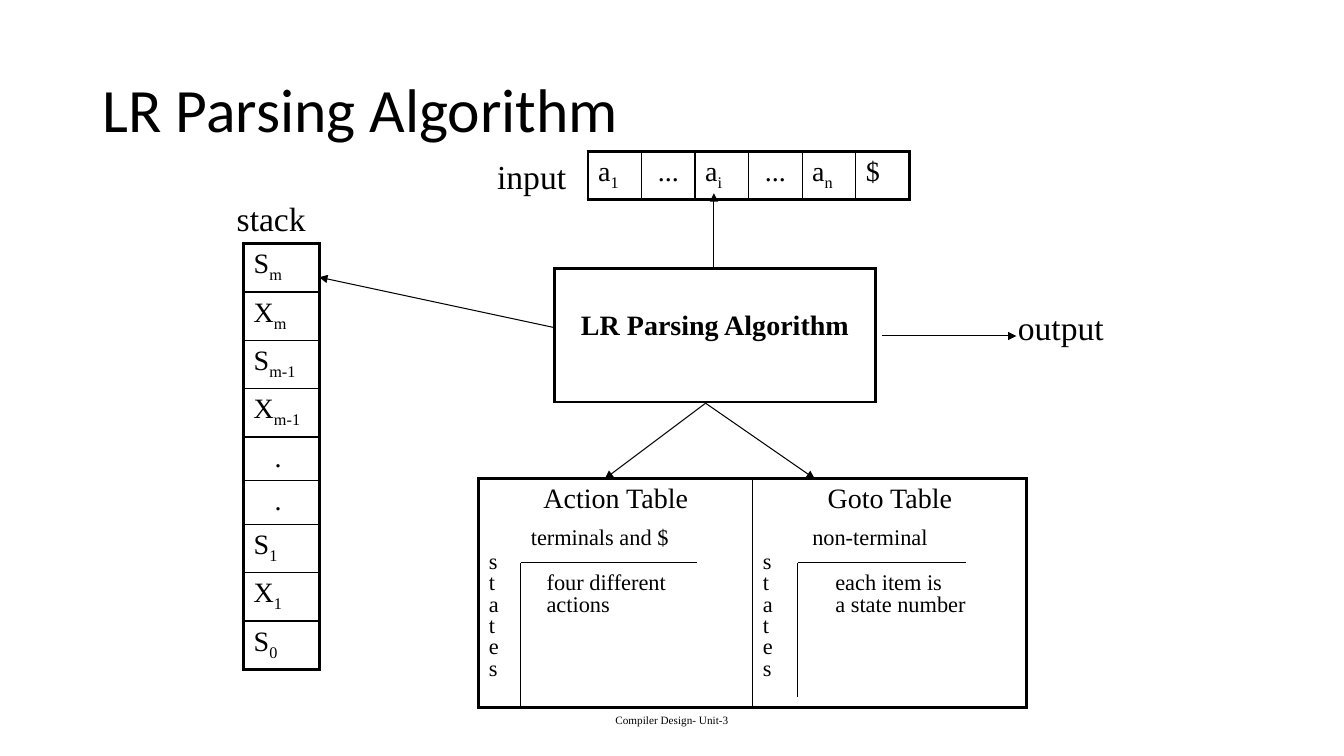
import pptx
import pptx.dml.color
import pptx.enum.shapes
import pptx.enum.text
import pptx.util
from lxml import etree
from pptx.oxml.ns import qn

EMU_PER_PX = 9525
BLACK = "000000"
SERIF = "Times New Roman"
THICK, THIN, LINE = 2.25, 1, 0.75
ALIGN = pptx.enum.text.PP_ALIGN
ANCHOR = pptx.enum.text.MSO_ANCHOR


def px(length):
    return pptx.util.Emu(length * EMU_PER_PX)


def color(value):
    return pptx.dml.color.RGBColor.from_string(value)


def apply(target, values):
    for name, value in values.items():
        setattr(target, name, value)


def add_run(paragraph, text, size, font=SERIF, bold=False, subscript=False):
    run = paragraph.add_run()
    run.text = text
    apply(run.font, {"size": pptx.util.Pt(size), "name": font, "bold": bold})
    run.font.color.rgb = color(BLACK)
    if subscript:
        run.font._element.set("baseline", "-25000")


def indent(paragraph, distance):
    paragraph._p.get_or_add_pPr().set("marL", str(px(distance)))


def add_tab_stop(paragraph, distance):
    tabs = etree.SubElement(paragraph._p.get_or_add_pPr(), qn("a:tabLst"))
    etree.SubElement(tabs, qn("a:tab"), pos=str(px(distance)), algn="l")


def add_line(slide, start, end, arrow=False):
    line = slide.shapes.add_connector(
        pptx.enum.shapes.MSO_CONNECTOR.STRAIGHT, *map(px, start + end))
    line.line.width = pptx.util.Pt(LINE)
    line.line.color.rgb = color(BLACK)
    if arrow:
        etree.SubElement(line.line._get_or_add_ln(), qn("a:tailEnd"), type="triangle")
    etree.SubElement(line._element.spPr, qn("a:effectLst"))


def add_border(cell, side, width):
    border = etree.SubElement(cell._tc.get_or_add_tcPr(), qn("a:ln" + side),
                              w=str(pptx.util.Pt(width)))
    fill = etree.SubElement(border, qn("a:solidFill"))
    etree.SubElement(fill, qn("a:srgbClr"), val=BLACK)


def add_grid(slide, left, top, widths, heights):
    """Add an unfilled table with a thick frame and thin inner lines; return its cells."""
    table = slide.shapes.add_table(len(heights), len(widths), px(left), px(top),
                                   px(sum(widths)), px(sum(heights))).table
    apply(table, {"first_row": False, "horz_banding": False})
    for column, width in zip(table.columns, widths):
        column.width = px(width)
    for row, height in zip(table.rows, heights):
        row.height = px(height)
    last_row, last_column = len(heights) - 1, len(widths) - 1
    cells = []
    for r in range(len(heights)):
        for c in range(len(widths)):
            cell = table.cell(r, c)
            edges = {"L": c == 0, "R": c == last_column, "T": r == 0, "B": r == last_row}
            for side, outer in edges.items():
                add_border(cell, side, THICK if outer else THIN)
            cell.fill.background()
            cells.append(cell)
    return cells


def add_symbol(cell, symbol):
    """Write a (letter, subscript) pair into a cell."""
    letter, subscript = symbol
    paragraph = cell.text_frame.paragraphs[0]
    add_run(paragraph, letter, 20)
    if subscript:
        add_run(paragraph, subscript, 20, subscript=True)
    return paragraph


def add_label(slide, left, top, width, text):
    shape = slide.shapes.add_textbox(px(left), px(top), px(width), px(48))
    shape.text_frame.word_wrap = False
    add_run(shape.text_frame.paragraphs[0], text, 24)


def add_title(slide, left, top, width, height):
    title = slide.shapes.title
    apply(title, {"left": px(left), "top": px(top), "width": px(width), "height": px(height)})
    apply(title.text_frame, {"vertical_anchor": ANCHOR.MIDDLE, "word_wrap": True,
                             "auto_size": pptx.enum.text.MSO_AUTO_SIZE.NONE})
    paragraph = title.text_frame.paragraphs[0]
    apply(paragraph, {"alignment": ALIGN.LEFT, "line_spacing": 0.9})
    add_run(paragraph, "LR Parsing Algorithm", 44, font="Calibri")


def add_stack(slide, left, top):
    symbols = [("S", "m"), ("X", "m"), ("S", "m-1"), ("X", "m-1"), (".", ""), (".", ""),
               ("S", "1"), ("X", "1"), ("S", "0")]
    add_label(slide, left - 16, top - 48, 85, "stack")
    cells = add_grid(slide, left, top, [72], [41] * 8 + [45])
    for cell, symbol in zip(cells, symbols):
        paragraph = add_symbol(cell, symbol)
        if symbol[0] == ".":
            indent(paragraph, 20)


def add_input(slide, left, top):
    symbols = [("a", "1"), ("...", ""), ("a", "i"), ("...", ""), ("a", "n"), ("$", "")]
    add_label(slide, left - 96, top, 85, "input")
    cells = add_grid(slide, left, top, [51] * 6, [41])
    for cell, symbol in zip(cells, symbols):
        paragraph = add_symbol(cell, symbol)
        if symbol[0] == "...":
            paragraph.alignment = ALIGN.CENTER


def add_parser(slide, left, top):
    cell, = add_grid(slide, left, top, [306], [127])
    apply(cell, {"vertical_anchor": ANCHOR.MIDDLE, "margin_bottom": px(23)})
    paragraph = cell.text_frame.paragraphs[0]
    paragraph.alignment = ALIGN.CENTER
    add_run(paragraph, "LR Parsing Algorithm", 20, bold=True)


def fill_table_sketch(cell, heading, columns, column_indent, notes, note_indent):
    """Write heading, column caption, the vertical word "states" and notes beside it."""
    frame = cell.text_frame
    paragraph = frame.paragraphs[0]
    paragraph.alignment = ALIGN.CENTER
    add_run(paragraph, heading, 20)
    paragraph = frame.add_paragraph()
    paragraph.space_before = pptx.util.Pt(7.5)
    indent(paragraph, column_indent)
    add_run(paragraph, columns, 16)
    for index, letter in enumerate("states"):
        paragraph = frame.add_paragraph()
        apply(paragraph, {"line_spacing": 0.7,
                          "space_before": pptx.util.Pt(2.8 if index else 3.7)})
        if index in notes:
            add_tab_stop(paragraph, note_indent)
            letter += "\t" + notes[index]
        add_run(paragraph, letter, 16)


def add_tables(slide, left, top):
    action, goto = add_grid(slide, left, top, [261, 261], [218])
    fill_table_sketch(action, "Action Table", "terminals and $", 40,
                      {1: "four different", 2: "actions"}, 55)
    fill_table_sketch(goto, "Goto Table", "non-terminal", 47,
                      {1: "each item is", 2: "a state number"}, 69)
    for offset, width, height in [(40, 168, 136), (304, 160, 128)]:
        corner = (left + offset, top + 80)
        add_line(slide, corner, (corner[0] + width, corner[1]))
        add_line(slide, corner, (corner[0], corner[1] + height))


def add_arrows(slide):
    below_parser = (672, 384)
    for start, end in [((528, 312), (304, 264)), (below_parser, (576, 456)),
                       (below_parser, (776, 456)), ((680, 256), (680, 184)),
                       ((840, 320), (968, 320))]:
        add_line(slide, start, end, arrow=True)


def add_footer(slide, left, top, width, height):
    frame = slide.shapes.add_textbox(px(left), px(top), px(width), px(height)).text_frame
    apply(frame, {"word_wrap": True, "vertical_anchor": ANCHOR.MIDDLE})
    frame.paragraphs[0].alignment = ALIGN.CENTER
    add_run(frame.paragraphs[0], "Compiler Design- Unit-3", 8)


def main():
    presentation = pptx.Presentation()
    apply(presentation, {"slide_width": px(1280), "slide_height": px(720)})
    slide = presentation.slides.add_slide(presentation.slide_layouts[5])
    add_footer(slide, 424, 667, 432, 38)
    add_title(slide, 88, 38, 1104, 139)
    add_stack(slide, 232, 232)
    add_input(slide, 560, 144)
    add_tables(slide, 456, 456)
    add_parser(slide, 528, 256)
    add_label(slide, 960, 288, 101, "output")
    add_arrows(slide)
    presentation.save("out.pptx")


if __name__ == "__main__":
    main()
